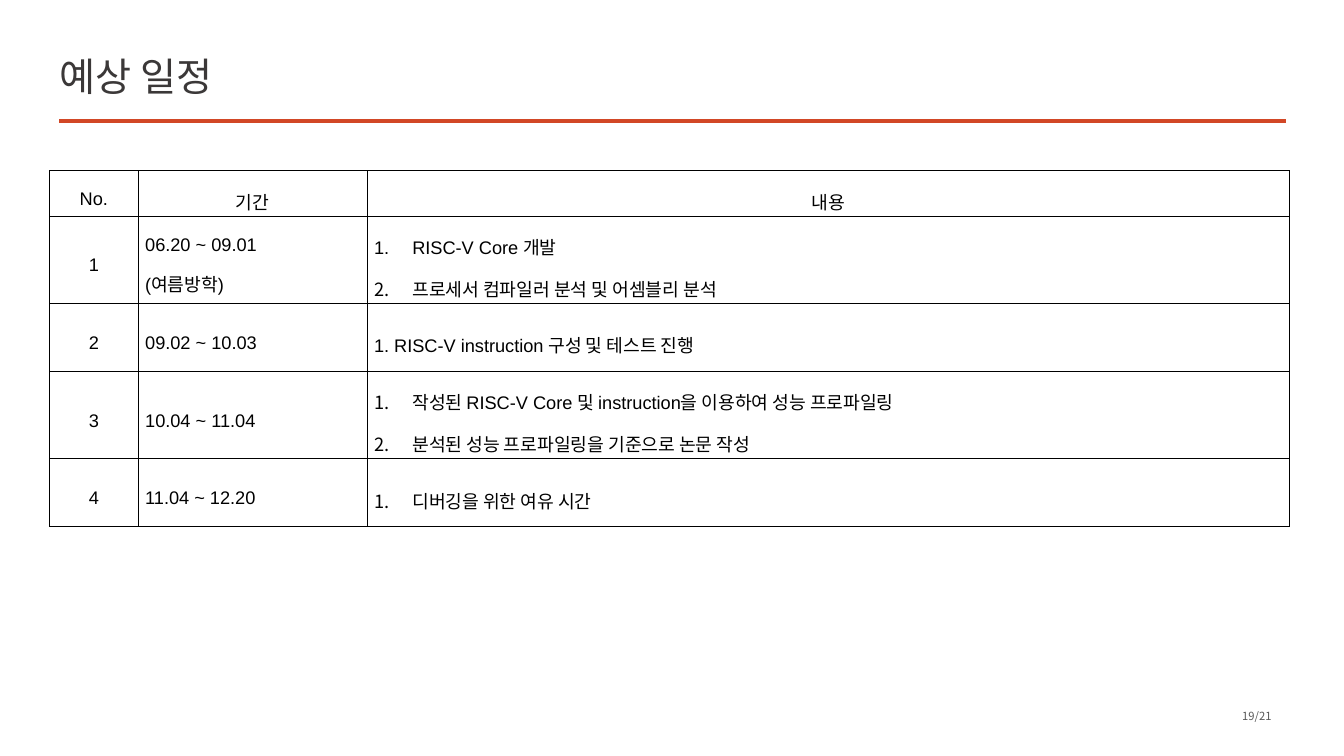
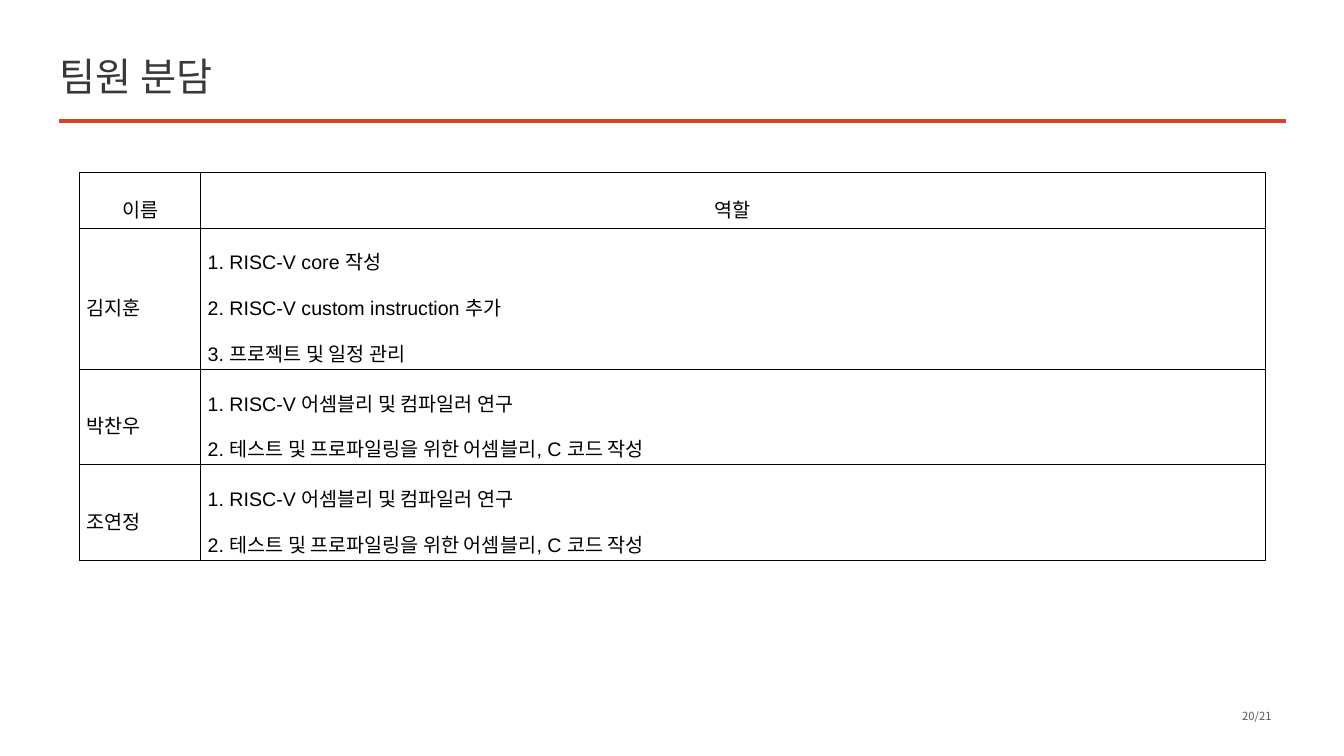
from lxml import etree
from pptx import Presentation
from pptx.dml.color import RGBColor
from pptx.enum.shapes import MSO_CONNECTOR
from pptx.enum.text import MSO_ANCHOR, PP_ALIGN
from pptx.oxml.ns import qn
from pptx.util import Inches, Pt

LEFT, RIGHT = PP_ALIGN.LEFT, PP_ALIGN.RIGHT
CENTER, JUST = PP_ALIGN.CENTER, PP_ALIGN.JUSTIFY
MIDDLE = MSO_ANCHOR.MIDDLE
STRAIGHT = MSO_CONNECTOR.STRAIGHT

COLORS = {"title": "3B3838", "rule": "D24726", "page": "595959", "ink": "000000"}
LATIN, HANGUL = "Arial", "Noto Sans CJK KR"
TOTAL = 21
HANG = Inches(0.38)


def color(name):
    return RGBColor.from_string(COLORS[name])


def add_run(para, text, size, tint, font):
    run = para.add_run()
    run.text = text
    run.font.size = Pt(size)
    run.font.name = font
    run.font.color.rgb = color(tint)
    props = run._r.get_or_add_rPr()
    props.set("kern", "0")
    etree.SubElement(props, qn("a:ea"), typeface=HANGUL)


def add_text(slide, box, text, size, tint, align):
    frame = slide.shapes.add_textbox(*map(Inches, box)).text_frame
    frame.word_wrap = True
    frame.vertical_anchor = MIDDLE
    frame.margin_top = frame.margin_bottom = 0
    para = frame.paragraphs[0]
    para.alignment = align
    add_run(para, text, size, tint, HANGUL)


def add_frame(slide, title, page):
    """Title, rule and page number shared by all slides."""
    rule = slide.shapes.add_connector(
        STRAIGHT, Inches(0.59), Inches(1.2), Inches(12.75), Inches(1.2))
    rule.line.color.rgb = color("rule")
    rule.line.width = Pt(2.25)
    etree.SubElement(rule._element.spPr, qn("a:effectLst"))
    add_text(slide, (0.49, 0.45, 12.26, 0.61), title, 28, "title", LEFT)
    add_text(slide, (9.13, 7.03, 3.58, 0.15), f"{page}/{TOTAL}", 8, "page", RIGHT)


def add_border(cell):
    props = cell._tc.get_or_add_tcPr()
    for side in ("lnL", "lnR", "lnT", "lnB"):
        line = etree.SubElement(props, qn(f"a:{side}"), w=str(Pt(0.28)))
        fill = etree.SubElement(line, qn("a:solidFill"))
        etree.SubElement(fill, qn("a:srgbClr"), val=COLORS["ink"])


def add_number(para):
    props = para._p.get_or_add_pPr()
    props.set("marL", str(HANG))
    props.set("indent", str(-HANG))
    etree.SubElement(props, qn("a:buFont"), typeface=LATIN)
    etree.SubElement(props, qn("a:buAutoNum"), type="arabicPeriod")


def fill_cell(cell, lines, size, align, listed):
    cell.margin_left = cell.margin_right = Inches(0.07)
    cell.margin_top = cell.margin_bottom = Inches(0.02)
    cell.vertical_anchor = MIDDLE
    add_border(cell)
    cell.fill.background()
    frame = cell.text_frame
    for i, text in enumerate(lines):
        para = frame.add_paragraph() if i else frame.paragraphs[0]
        para.alignment = align
        para.line_spacing = 1.6
        if listed:
            add_number(para)
        add_run(para, text, size, "ink", LATIN)


def add_grid(slide, spot, cols, highs, rows, size, mids=(), lists=()):
    """Ruled table: mids are centred columns, lists are auto-numbered rows."""
    box = (*spot, sum(cols), sum(highs))
    table = slide.shapes.add_table(
        len(rows), len(cols), *map(Inches, box)).table
    table.first_row = table.horz_banding = False
    for col, wide in zip(table.columns, cols):
        col.width = Inches(wide)
    for row, high in zip(table.rows, highs):
        row.height = Inches(high)
    last = len(cols) - 1
    for r, row in enumerate(rows):
        for c, text in enumerate(row):
            align = CENTER if r == 0 or c in mids else JUST
            fill_cell(table.cell(r, c), text.split("\n"), size, align,
                      c == last and r in lists)


def add_plan(slide):
    """Schedule."""
    add_frame(slide, "예상 일정", 19)
    rows = [
        ("No.", "기간", "내용"),
        ("1", "06.20 ~ 09.01\n(여름방학)",
         "RISC-V Core 개발\n프로세서 컴파일러 분석 및 어셈블리 분석"),
        ("2", "09.02 ~ 10.03", "1. RISC-V instruction 구성 및 테스트 진행"),
        ("3", "10.04 ~ 11.04",
         "작성된 RISC-V Core 및 instruction을 이용하여 성능 프로파일링\n"
         "분석된 성능 프로파일링을 기준으로 논문 작성"),
        ("4", "11.04 ~ 12.20", "디버깅을 위한 여유 시간"),
    ]
    add_grid(slide, (0.49, 1.69), (0.88, 2.27, 9.15),
             (0.45, 0.87, 0.67, 0.87, 0.67), rows, 13, mids=(0,), lists=(1, 3, 4))


def add_team(slide):
    """Roles of the members."""
    add_frame(slide, "팀원 분담", 20)
    study = ("1. RISC-V 어셈블리 및 컴파일러 연구\n"
             "2. 테스트 및 프로파일링을 위한 어셈블리, C 코드 작성")
    rows = [
        ("이름", "역할"),
        ("김지훈", "1. RISC-V core 작성\n2. RISC-V custom instruction 추가\n"
                "3. 프로젝트 및 일정 관리"),
        ("박찬우", study),
        ("조연정", study),
    ]
    add_grid(slide, (0.79, 1.71), (1.2, 10.56), (0.55, 1.4, 0.95, 0.95), rows, 14)


def main():
    deck = Presentation()
    deck.slide_width, deck.slide_height = Inches(13.33), Inches(7.5)
    for build in (add_plan, add_team):
        build(deck.slides.add_slide(deck.slide_layouts[6]))
    deck.save("out.pptx")


if __name__ == "__main__":
    main()
